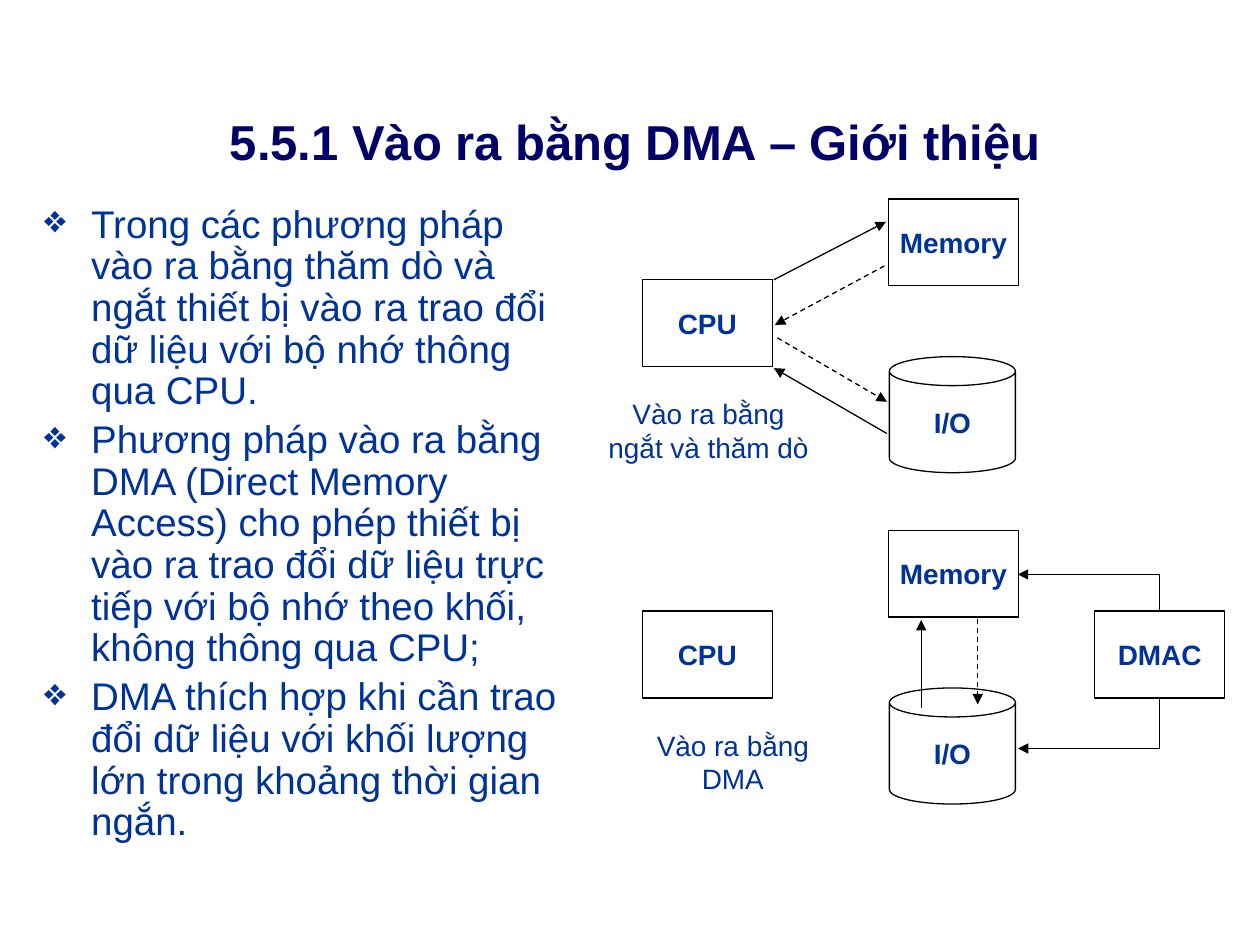
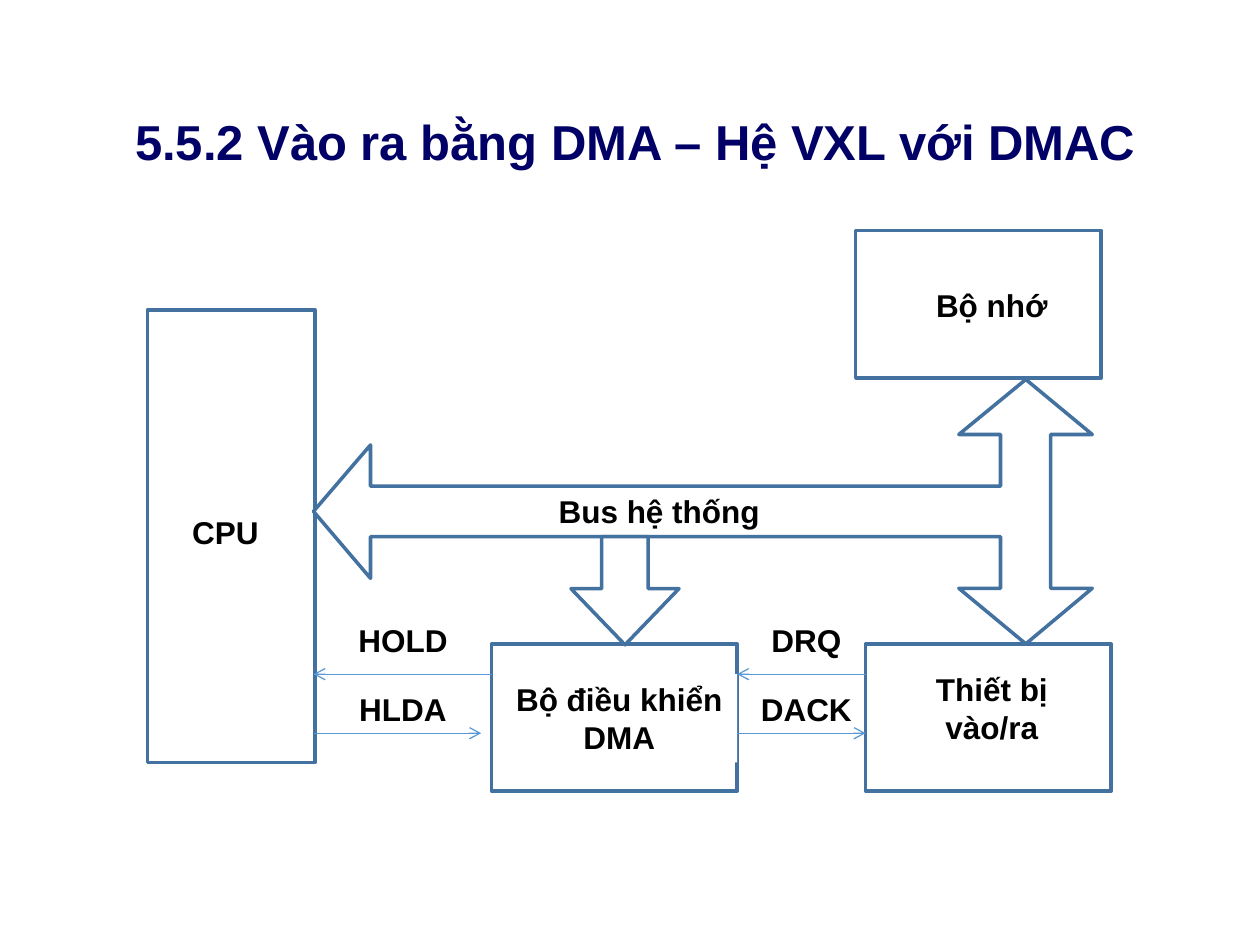
import pptx
import pptx.util
import pptx.dml.color
import pptx.enum.dml
import pptx.enum.shapes
import pptx.enum.text
import pptx.oxml.ns
import lxml.etree

Cm = pptx.util.Cm
Pt = pptx.util.Pt
SHAPE = pptx.enum.shapes.MSO_SHAPE
CONNECTOR = pptx.enum.shapes.MSO_CONNECTOR
ALIGN = pptx.enum.text.PP_ALIGN
ANCHOR = pptx.enum.text.MSO_ANCHOR
DASH = pptx.enum.dml.MSO_LINE.DASH

NAVY, BLUE, BLACK, WHITE = "000066", "003399", "000000", "FFFFFF"
STEEL, SKY = "4371A0", "5999D8"


def rgb(value):
    return pptx.dml.color.RGBColor.from_string(value)


def add_xml(parent, tag, **attrs):
    return lxml.etree.SubElement(parent, pptx.oxml.ns.qn(tag), **attrs)


def write(sp, paragraphs, size=18, color=BLACK, bold=True, align=ALIGN.CENTER,
          anchor=ANCHOR.TOP, wrap=True, bullet=None):
    tf = sp.text_frame
    tf.word_wrap = wrap
    tf.vertical_anchor = anchor
    for i, text in enumerate(paragraphs):
        p = tf.add_paragraph() if i else tf.paragraphs[0]
        p.alignment = align
        for j, line in enumerate(text.split("\n")):
            if j:
                p.add_line_break()
            r = p.add_run()
            r.text = line
            r.font.name = "Arial"
            r.font.size = Pt(size)
            r.font.bold = bold
            r.font.color.rgb = rgb(color)
        if bullet:
            p.line_spacing = 0.9
            p.space_before = Pt(size * 0.2)
            pPr = p._p.get_or_add_pPr()
            pPr.set("marL", str(Cm(0.95)))
            pPr.set("indent", str(-Cm(0.95)))
            add_xml(add_xml(pPr, "a:buClr"), "a:srgbClr", val=color)
            add_xml(pPr, "a:buChar", char=bullet)


class Deck:
    def __init__(self):
        self.prs = pptx.Presentation()
        self.prs.slide_width = Cm(25.4)
        self.prs.slide_height = Cm(19.05)
        self.s = None

    def slide(self, title):
        self.s = self.prs.slides.add_slide(self.prs.slide_layouts[6])
        self.text([title], 0.64, 2.11, 24.33, 1.45, size=28, color=NAVY,
                  anchor=ANCHOR.MIDDLE)

    def text(self, paragraphs, x, y, w, h, fill=None, **fmt):
        sp = self.s.shapes.add_textbox(Cm(x), Cm(y), Cm(w), Cm(h))
        if fill:
            sp.fill.solid()
            sp.fill.fore_color.rgb = rgb(fill)
        write(sp, paragraphs, **fmt)

    def finish(self, sp, fill, line, width):
        sp.shadow.inherit = False
        if fill:
            sp.fill.solid()
            sp.fill.fore_color.rgb = rgb(fill)
        else:
            sp.fill.background()
        sp.line.color.rgb = rgb(line)
        sp.line.width = Pt(width)

    def shape(self, kind, x, y, w, h, fill=WHITE, line=STEEL, width=2):
        sp = self.s.shapes.add_shape(kind, Cm(x), Cm(y), Cm(w), Cm(h))
        self.finish(sp, fill, line, width)
        return sp

    def node(self, name, x, y, w=2.62, h=1.75, kind=SHAPE.RECTANGLE):
        sp = self.shape(kind, x, y, w, h, fill=None, line=BLACK, width=0.75)
        write(sp, [name], size=16, color=BLUE, anchor=ANCHOR.MIDDLE, wrap=False)

    def caption(self, text, x, y):
        self.text([text], x, y, 4.65, 1.75, size=16, color=BLUE, bold=False,
                  anchor=ANCHOR.MIDDLE, wrap=False)

    def outline(self, points):
        points = [(Cm(x), Cm(y)) for x, y in points]
        fb = self.s.shapes.build_freeform(*points[0])
        fb.add_line_segments(points[1:], close=True)
        self.finish(fb.convert_to_shape(), WHITE, STEEL, 2)

    def arrow(self, x1, y1, x2, y2, color=BLACK, head="triangle", dashed=False,
              kind=CONNECTOR.STRAIGHT):
        c = self.s.shapes.add_connector(kind, Cm(x1), Cm(y1), Cm(x2), Cm(y2))
        c.line.color.rgb = rgb(color)
        c.line.width = Pt(0.75)
        if dashed:
            c.line.dash_style = DASH
        add_xml(c.line._get_or_add_ln(), "a:tailEnd", type=head)
        add_xml(c._element.spPr, "a:effectLst")
        return c

    def corner_arrow(self, x1, y1, x2, y2):
        cx, cy = (x1 + x2) / 2, (y1 + y2) / 2
        half_w, half_h = (y2 - y1) / 2, abs(x2 - x1) / 2
        c = self.arrow(cx - half_w, cy - half_h, cx + half_w, cy + half_h,
                       kind=CONNECTOR.ELBOW)
        spPr = c._element.spPr
        spPr.find(pptx.oxml.ns.qn("a:prstGeom")).set("prst", "bentConnector2")
        spPr.find(pptx.oxml.ns.qn("a:xfrm")).set("rot", "5400000")


def intro_slide(deck):
    deck.slide("5.5.1 Vào ra bằng DMA – Giới thiệu")
    deck.text([
        "Trong các phương pháp vào ra bằng thăm dò và ngắt thiết bị vào ra "
        "trao đổi dữ liệu với bộ nhớ thông qua CPU.",
        "Phương pháp vào ra bằng DMA (Direct Memory Access) cho phép thiết bị "
        "vào ra trao đổi dữ liệu trực tiếp với bộ nhớ theo khối, không thông "
        "qua CPU;",
        "DMA thích hợp khi cần trao đổi dữ liệu với khối lượng lớn trong "
        "khoảng thời gian ngắn.",
    ], 0.64, 4.01, 11.1, 13, size=22, color=BLUE, bold=False,
        align=ALIGN.LEFT, bullet="❖")

    for dy in (0, 6.68):
        deck.node("CPU", 12.95, 5.64 + dy)
        deck.node("Memory", 17.91, 4.01 + dy)
        deck.node("I/O", 17.93, 7.19 + dy, 2.54, 2.34, SHAPE.CAN)
    deck.node("DMAC", 22.07, 12.32)

    for ends, dashed in (
        ((17.88, 8.74, 15.6, 7.42), False),
        ((15.6, 5.64, 17.86, 4.47), False),
        ((17.83, 5.36, 15.62, 6.55), True),
        ((15.67, 6.81, 17.88, 8.1), True),
        ((18.57, 14.27, 18.57, 12.5), False),
        ((19.71, 12.47, 19.71, 14.2), True),
    ):
        deck.arrow(*ends, dashed=dashed)
    deck.corner_arrow(23.37, 12.32, 20.52, 11.58)
    deck.corner_arrow(23.37, 14.07, 20.52, 15.09)

    deck.caption("Vào ra bằng\nngắt và thăm dò", 11.96, 7.8)
    deck.caption("Vào ra bằng DMA", 12.45, 14.48)


def dmac_slide(deck):
    deck.slide("5.5.2 Vào ra bằng DMA – Hệ VXL với DMAC")
    deck.shape(SHAPE.RECTANGLE, 2.97, 6.25, 3.38, 9.12)
    deck.text(["CPU"], 3.35, 10.21, 2.39, 1.02)
    for name, x, y, label in (
        ("Bộ nhớ", 17.25, 4.65, (18.24, 5.64, 3.51, 1.02)),
        ("Thiết bị vào/ra", 17.45, 12.98, (18.24, 13.39, 3.51, 1.78)),
        ("Bộ điều khiển DMA", 9.91, 12.98, (10.11, 13.59, 4.75, 1.78)),
    ):
        deck.shape(SHAPE.RECTANGLE, x, y, 4.95, 2.97)
        deck.text([name], *label, fill=WHITE)

    for x1, x2, y in ((9.91, 6.32, 13.59), (17.45, 14.86, 13.59),
                      (6.32, 9.7, 14.78), (14.86, 17.45, 14.78)):
        deck.arrow(x1, y, x2, y, color=SKY, head="arrow")
    for x, names in ((6.93, ("HOLD", "HLDA")), (15.06, ("DRQ", "DACK"))):
        for name, y in zip(names, (12.4, 13.79)):
            deck.text([name], x, y, 2.39, 1.02)

    deck.outline([
        (20.68, 12.98), (19.33, 11.86), (20.17, 11.86), (20.17, 10.82),
        (7.47, 10.82), (7.47, 11.66), (6.32, 10.31), (7.47, 8.97),
        (7.47, 9.8), (20.17, 9.8), (20.17, 8.76), (19.33, 8.76),
        (20.68, 7.65), (22.02, 8.76), (21.18, 8.76), (21.18, 11.86),
        (22.02, 11.86),
    ])
    branch = deck.shape(SHAPE.DOWN_ARROW, 11.51, 10.82, 2.18, 2.18)
    branch.adjustments[0] = 0.43
    branch.adjustments[1] = 0.52
    deck.text(["Bus hệ thống"], 8.92, 9.8, 8.74, 1.02)


def main():
    deck = Deck()
    intro_slide(deck)
    dmac_slide(deck)
    deck.prs.save("out.pptx")


if __name__ == "__main__":
    main()
